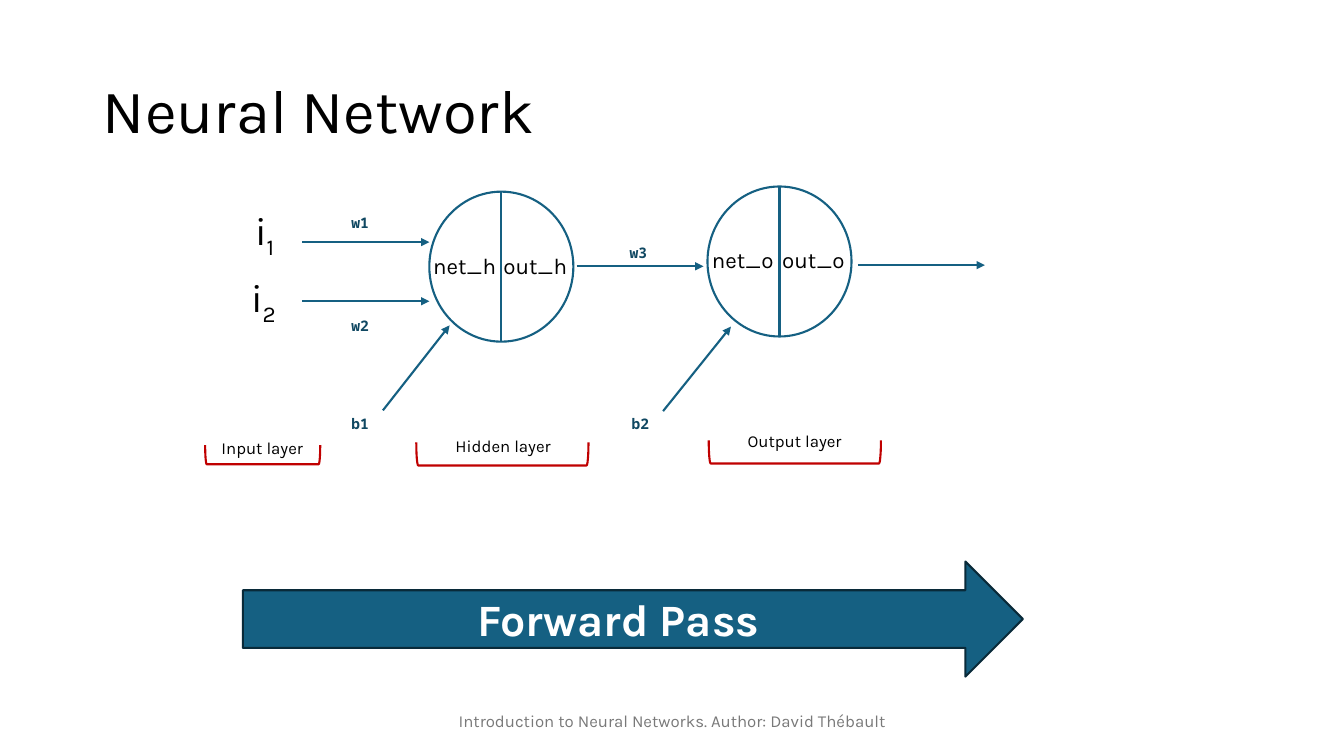
from dataclasses import dataclass

from lxml.etree import SubElement
from pptx import Presentation
from pptx.dml.color import RGBColor
from pptx.enum.shapes import MSO_CONNECTOR, MSO_SHAPE
from pptx.enum.text import MSO_ANCHOR, MSO_AUTO_SIZE, PP_ALIGN
from pptx.oxml.ns import qn
from pptx.util import Cm, Pt


@dataclass(frozen=True)
class Theme:
    font: str = "Karla"
    mono: str = "Noto Sans Mono"
    black: str = "000000"
    white: str = "FFFFFF"
    blue: str = "156082"
    navy: str = "104862"
    outline: str = "092A39"
    red: str = "C00000"
    grey: str = "797979"
    title: int = 44
    banner: int = 32
    input: int = 28
    weight: int = 18
    node: int = 16
    small: int = 12
    stroke: float = 1.5


class Diagram:
    def __init__(self, s, theme):
        self.s, self.t = s, theme

    def set_text(self, tf, parts, size, color=None, font=None, bold=False,
                 align=PP_ALIGN.CENTER, anchor=MSO_ANCHOR.TOP):
        """Fill a frame; each part is (text, is_subscript)."""
        tf.word_wrap = True
        tf.vertical_anchor = anchor
        p = tf.paragraphs[0]
        p.alignment = align
        for text, subscript in parts:
            r = p.add_run()
            r.text = text
            r.font.name = font or self.t.font
            r.font.size = Pt(size)
            r.font.bold = bold
            r.font.color.rgb = RGBColor.from_string(color or self.t.black)
            if subscript:
                r._r.get_or_add_rPr().set("baseline", "-25000")

    def title(self, text, x, y, w, h):
        sp = self.s.shapes.title
        sp.left, sp.top, sp.width, sp.height = Cm(x), Cm(y), Cm(w), Cm(h)
        tf = sp.text_frame
        tf.auto_size = MSO_AUTO_SIZE.NONE
        self.set_text(tf, [(text, False)], self.t.title, align=PP_ALIGN.LEFT,
                      anchor=MSO_ANCHOR.MIDDLE)
        tf.paragraphs[0].line_spacing = 0.9

    def text(self, parts, x, y, w, h, size, shapes=None, **style):
        sp = (shapes or self.s.shapes).add_textbox(Cm(x), Cm(y), Cm(w), Cm(h))
        self.set_text(sp.text_frame, parts, size, **style)

    def weight(self, name, x, y):
        self.text([(name, True)], x, y, 2.06, 0.99, self.t.weight,
                  color=self.t.navy, font=self.t.mono, bold=True)

    def line(self, x1, y1, x2, y2, shapes=None, arrow=True):
        c = (shapes or self.s.shapes).add_connector(
            MSO_CONNECTOR.STRAIGHT, Cm(x1), Cm(y1), Cm(x2), Cm(y2))
        c.line.color.rgb = RGBColor.from_string(self.t.blue)
        c.line.width = Pt(self.t.stroke)
        if arrow:
            SubElement(c.line._get_or_add_ln(), qn("a:tailEnd"), type="triangle")
        SubElement(c._element.spPr, qn("a:effectLst"))

    def shape(self, kind, x, y, w, h, line, fill=None, shapes=None):
        sp = (shapes or self.s.shapes).add_shape(kind, Cm(x), Cm(y), Cm(w), Cm(h))
        sp.shadow.inherit = False
        sp.line.color.rgb = RGBColor.from_string(line)
        sp.line.width = Pt(self.t.stroke)
        if fill:
            sp.fill.solid()
            sp.fill.fore_color.rgb = RGBColor.from_string(fill)
        else:
            sp.fill.background()
        return sp

    def neuron(self, suffix, x, y, w=3.63, h=3.78):
        shapes = self.s.shapes.add_group_shape().shapes
        self.shape(MSO_SHAPE.OVAL, x, y, w, h, self.t.blue, self.t.white, shapes)
        self.line(x + w / 2, y, x + w / 2, y + h, shapes, arrow=False)
        for name, dx in (("net", -0.23), ("out", 1.55)):
            self.text([(f"{name}_{suffix}", False)], x + dx, y + 1.39, 2.24, 0.94,
                      self.t.node, shapes)

    def bracket(self, cx, cy, span, depth):
        sp = self.shape(MSO_SHAPE.RIGHT_BRACKET, cx - depth / 2, cy - span / 2,
                        depth, span, self.t.red)
        sp.rotation = 90

    def banner(self, text, x, y, w, h):
        sp = self.shape(MSO_SHAPE.RIGHT_ARROW, x, y, w, h, self.t.outline, self.t.blue)
        self.set_text(sp.text_frame, [(text, False)], self.t.banner, self.t.white,
                      bold=True, anchor=MSO_ANCHOR.MIDDLE)


def main():
    prs = Presentation()
    prs.slide_width, prs.slide_height = Cm(33.87), Cm(19.05)
    t = Theme()
    d = Diagram(prs.slides.add_slide(prs.slide_layouts[5]), t)
    d.title("Neural Network", 2.34, 1.02, 29.21, 3.68)

    # Inputs
    for index, x, y in (("1", 5.64, 5.08), ("2", 5.61, 6.76)):
        d.text([("i", False), (index, True)], x, y, 2.06, 1.85, t.input)

    # Neurons
    d.neuron("h", 10.82, 4.83)
    d.neuron("o", 17.83, 4.7)

    # Signal and bias arrows
    for ends in ((7.62, 6.1, 10.82, 6.1), (7.62, 7.59, 10.82, 7.59),
                 (14.53, 6.71, 17.73, 6.71), (21.62, 6.68, 24.82, 6.68),
                 (9.65, 10.34, 11.33, 8.2), (16.71, 10.36, 18.42, 8.23)):
        d.line(*ends)

    # Weights and biases
    for name, x, y in (("w1", 8.05, 4.85), ("w2", 8.05, 7.44), ("w3", 15.06, 5.59),
                       ("b1", 8.05, 9.91), ("b2", 15.11, 9.91)):
        d.weight(name, x, y)

    # Layer brackets and names
    for name, cx, cy, span, depth, x, y, align in (
            ("Input layer", 6.62, 11.46, 2.9, 0.48, 5.05, 10.9, PP_ALIGN.CENTER),
            ("Hidden layer", 12.66, 11.44, 4.34, 0.58, 11.23, 10.85, PP_ALIGN.LEFT),
            ("Output layer", 20.03, 11.39, 4.34, 0.58, 18.59, 10.74, PP_ALIGN.LEFT)):
        d.bracket(cx, cy, span, depth)
        d.text([(name, False)], x, y, 3.12, 0.76, t.small, align=align)

    # Direction banner and footer
    d.banner("Forward Pass", 6.12, 14.15, 19.66, 2.9)
    d.text([("Introduction to Neural Networks. Author: David Thébault", False)],
           11.23, 17.65, 11.43, 1.02, t.small, color=t.grey, anchor=MSO_ANCHOR.MIDDLE)

    prs.save("out.pptx")


if __name__ == "__main__":
    main()
